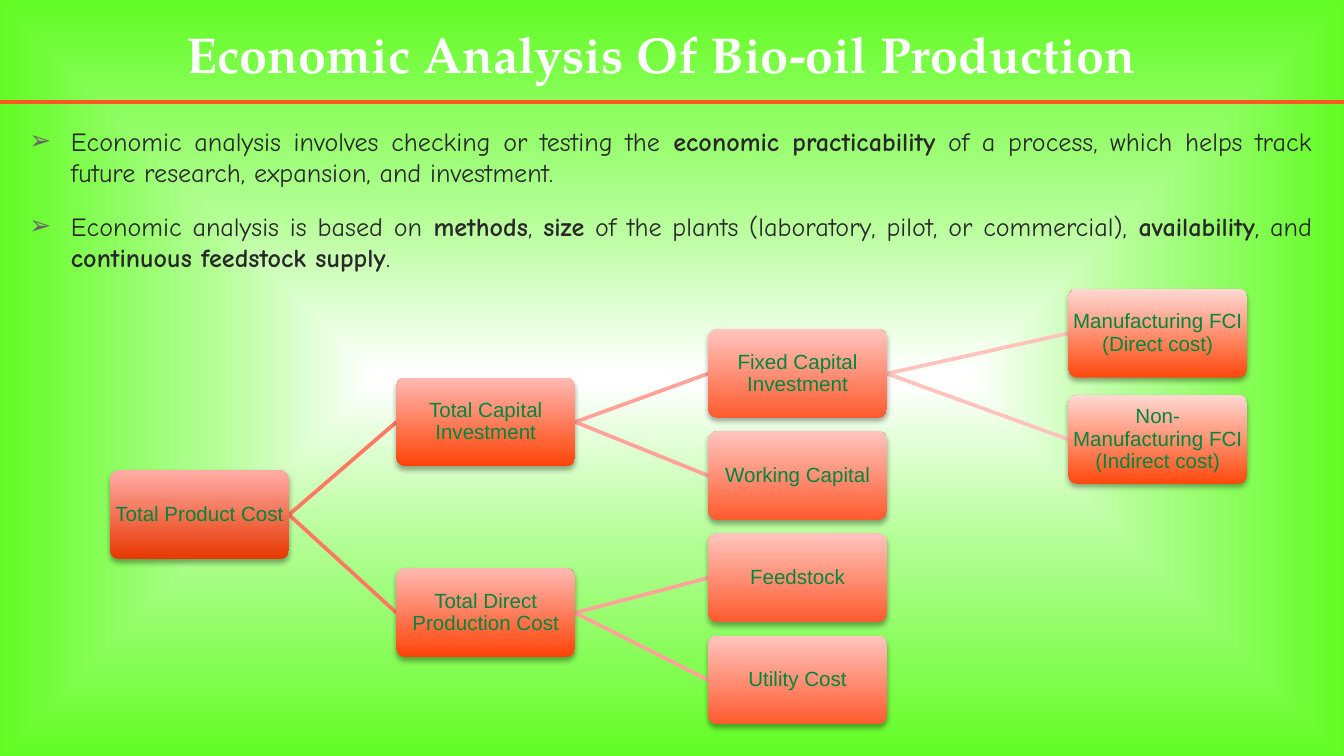
from pptx import Presentation
from pptx.dml.color import RGBColor
from pptx.enum.shapes import MSO_CONNECTOR, MSO_SHAPE
from pptx.enum.text import MSO_ANCHOR, PP_ALIGN
from pptx.oxml import parse_xml
from pptx.oxml.ns import nsdecls, qn
from pptx.util import Inches, Pt

STRAIGHT = MSO_CONNECTOR.STRAIGHT
ROUNDED = MSO_SHAPE.ROUNDED_RECTANGLE
TOP, MIDDLE = MSO_ANCHOR.TOP, MSO_ANCHOR.MIDDLE
LEFT, CENTER, JUSTIFY = PP_ALIGN.LEFT, PP_ALIGN.CENTER, PP_ALIGN.JUSTIFY

COLORS = {
    "center": "FFFFFF", "halo": "B1FE92", "edge": "62FC24",
    "title": "FFFFFF", "rule": "FF5722", "body": "282828",
    "bullet": "666666", "label": "00863D", "shadow": "000000",
}
LEVELS = [
    {"left": 0, "bottom": "E73801", "top": "FFADA6"},
    {"left": 2.13, "bottom": "FF4307", "top": "FFB9B2", "link": "FF7861"},
    {"left": 4.45, "bottom": "FF5B2E", "top": "FFC4BE", "link": "FFA399"},
    {"left": 7.13, "bottom": "FF490D", "top": "FFD8D4", "link": "FFC3BD"},
]
NODE_W, NODE_H = 1.33, 0.66
LEAF_TOP, LEAF_PITCH = 0.3, 0.76
COST_TREE = ("Total Product Cost", 1.35, [
    ("Total Capital Investment", 0.66, [
        ("Fixed Capital Investment", LEAF_TOP, [
            ("Manufacturing FCI (Direct cost)", 0, []),
            ("Non-Manufacturing FCI (Indirect cost)", 0.79, []),
        ]),
        ("Working Capital", LEAF_TOP + LEAF_PITCH, []),
    ]),
    ("Total Direct Production Cost", 2.08, [
        ("Feedstock", LEAF_TOP + 2 * LEAF_PITCH, []),
        ("Utility Cost", LEAF_TOP + 3 * LEAF_PITCH, []),
    ]),
])
POINTS = [
    "Economic analysis involves checking or testing the **economic practicability** "
    "of a process, which helps track future research, expansion, and investment.",
    "Economic analysis is based on **methods**, **size** of the plants (laboratory, "
    "pilot, or commercial), **availability**, and **continuous feedstock supply**.",
]


def rgb(value):
    return RGBColor.from_string(value)


def write_text(shape, paragraphs, *, size, font, color, bold=False, align=LEFT,
               anchor=TOP, inset=0.1, spacing=None, after=0):
    frame = shape.text_frame
    frame.word_wrap = True
    frame.vertical_anchor = anchor
    frame.margin_left = frame.margin_right = Inches(inset)
    frame.margin_top = frame.margin_bottom = Inches(inset)
    for i, content in enumerate(paragraphs):
        paragraph = frame.add_paragraph() if i else frame.paragraphs[0]
        paragraph.alignment = align
        paragraph.space_after = Pt(after)
        if spacing:
            paragraph.line_spacing = spacing
        for j, part in enumerate(content.split("**")):
            run = paragraph.add_run()
            run.text = part
            run.font.size = Pt(size)
            run.font.name = font
            run.font.bold = bold or j % 2 == 1
            run.font.color.rgb = rgb(color)
    return frame


def add_bullet(paragraph, indent):
    props = paragraph._p.get_or_add_pPr()
    props.set("marL", str(Inches(indent)))
    props.set("indent", str(-Inches(indent)))
    props.append(parse_xml(
        f'<a:buClr {nsdecls("a")}><a:srgbClr val="{COLORS["bullet"]}"/></a:buClr>'))
    props.append(parse_xml(f'<a:buFont {nsdecls("a")} typeface="Arial"/>'))
    props.append(parse_xml(f'<a:buChar {nsdecls("a")} char="➢"/>'))


def add_line(slide, start, end, color, width):
    line = slide.shapes.add_connector(STRAIGHT, *map(Inches, start + end))
    line.line.color.rgb = rgb(color)
    line.line.width = Pt(width)
    line._element.spPr.append(parse_xml(f'<a:effectLst {nsdecls("a")}/>'))


def paint_background(slide):
    fill = slide.background.fill
    fill.gradient()
    stops = "".join(
        f'<a:gs pos="{pos * 1000}"><a:srgbClr val="{COLORS[name]}"/></a:gs>'
        for pos, name in ((1, "center"), (45, "halo"), (100, "edge")))
    gradient = slide.element.find(".//" + qn("a:gradFill"))
    gradient.getparent().replace(gradient, parse_xml(
        f'<a:gradFill {nsdecls("a")} rotWithShape="1"><a:gsLst>{stops}</a:gsLst>'
        '<a:path path="shape">'
        '<a:fillToRect l="50000" t="50000" r="50000" b="50000"/>'
        '</a:path></a:gradFill>'))


def add_header(slide, box):
    left, top, width, height = box
    title = slide.shapes.add_textbox(
        Inches(left + 1.29), Inches(top + 0.07), Inches(width - 1.53), Inches(0.63))
    write_text(title, ["Economic Analysis Of Bio-oil Production"], size=27,
               font="TeX Gyre Pagella", color=COLORS["title"], bold=True)
    bottom = top + height
    add_line(slide, (left, bottom), (left + width, bottom), COLORS["rule"], 2.25)


def add_points(slide, box):
    points = slide.shapes.add_textbox(*map(Inches, box))
    frame = write_text(points, POINTS, size=14, font="Comic Neue",
                       color=COLORS["body"], align=JUSTIFY, after=12)
    for paragraph in frame.paragraphs:
        add_bullet(paragraph, 0.31)


def add_node(slide, box, label, level):
    node = slide.shapes.add_shape(ROUNDED, *map(Inches, box))
    node.adjustments[0] = 0.1
    node.line.fill.background()
    node.fill.gradient()
    node.fill.gradient_angle = 90
    for stop, position, end in zip(node.fill.gradient_stops, (0, 1), ("bottom", "top")):
        stop.position = position
        stop.color.rgb = rgb(level[end])
    node._element.spPr.append(parse_xml(
        f'<a:effectLst {nsdecls("a")}>'
        f'<a:outerShdw blurRad="{Pt(3.1)}" dist="{Pt(1.8)}" dir="5400000" rotWithShape="0">'
        f'<a:srgbClr val="{COLORS["shadow"]}"><a:alpha val="35000"/></a:srgbClr>'
        '</a:outerShdw></a:effectLst>'))
    write_text(node, [label], size=11, font="Arial", color=COLORS["label"],
               align=CENTER, anchor=MIDDLE, inset=0.01, spacing=0.9)


def add_cost_tree(slide, box, branch=COST_TREE, depth=0):
    left, top = box[:2]
    label, offset, children = branch
    level = LEVELS[depth]
    node_left, node_top = left + level["left"], top + offset
    for child in children:
        child_level = LEVELS[depth + 1]
        start = (node_left + NODE_W, node_top + NODE_H / 2)
        end = (left + child_level["left"], top + child[1] + NODE_H / 2)
        add_line(slide, start, end, child_level["link"], 2)
        add_cost_tree(slide, box, child, depth + 1)
    add_node(slide, (node_left, node_top, NODE_W, NODE_H), label, level)


def main():
    deck = Presentation()
    deck.slide_width = Inches(10)
    deck.slide_height = deck.slide_width * 9 // 16
    slide = deck.slides.add_slide(deck.slide_layouts[6])
    paint_background(slide)
    add_header(slide, (0, 0, 10, 0.76))
    add_points(slide, (0.12, 0.83, 9.74, 3.74))
    add_cost_tree(slide, (0.82, 2.15, 8.46, 3.24))
    deck.save("out.pptx")


if __name__ == "__main__":
    main()
